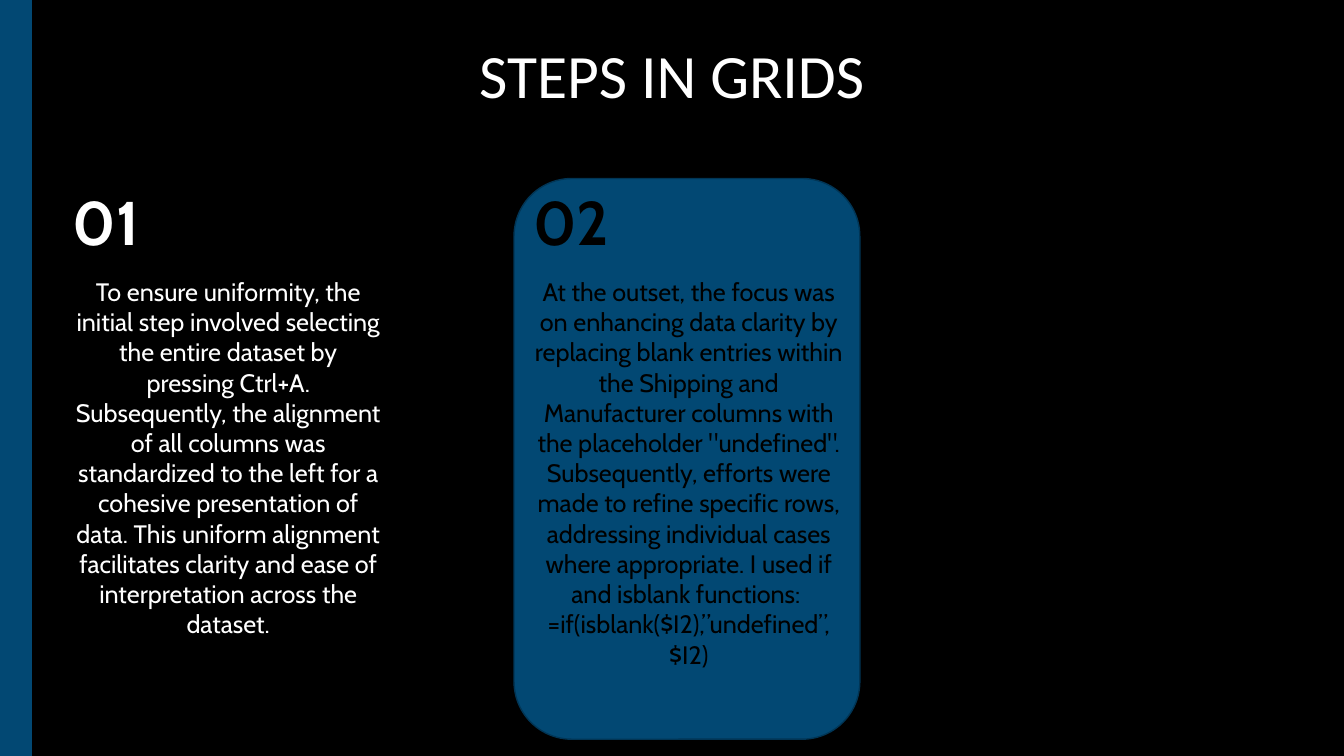
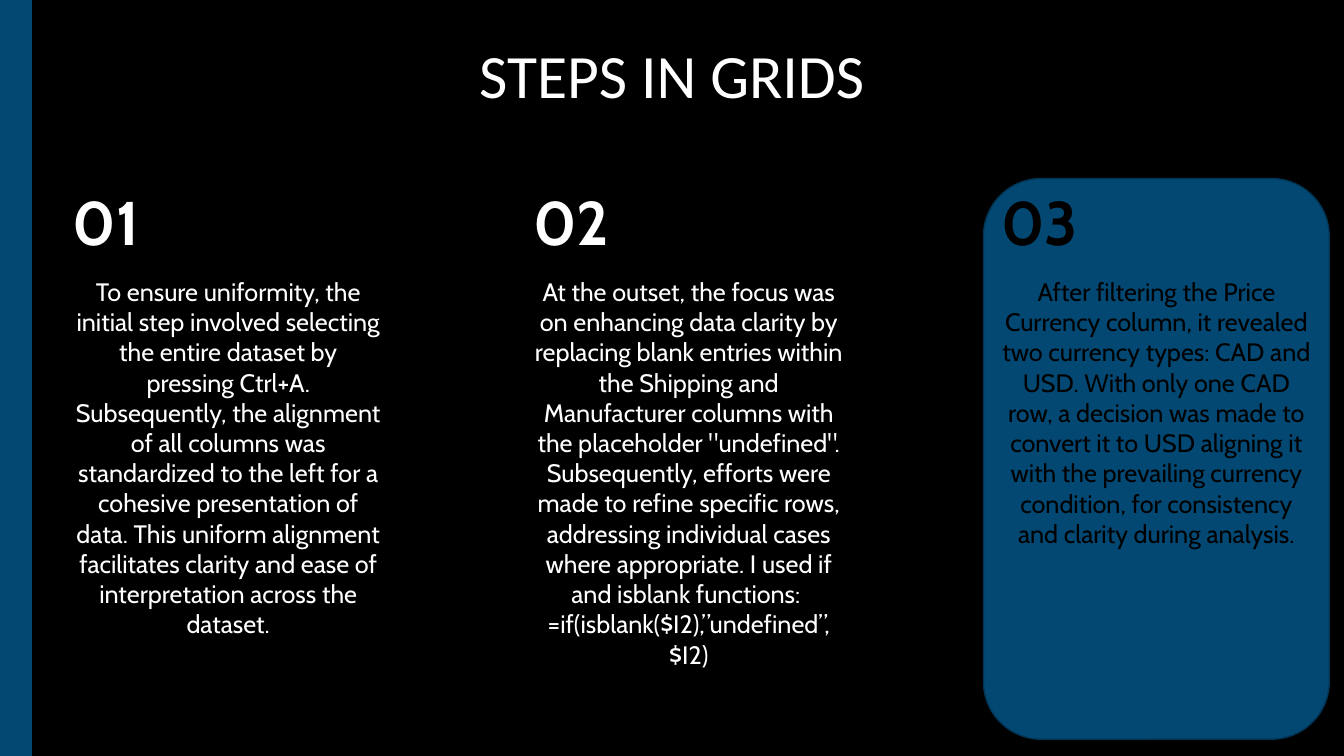
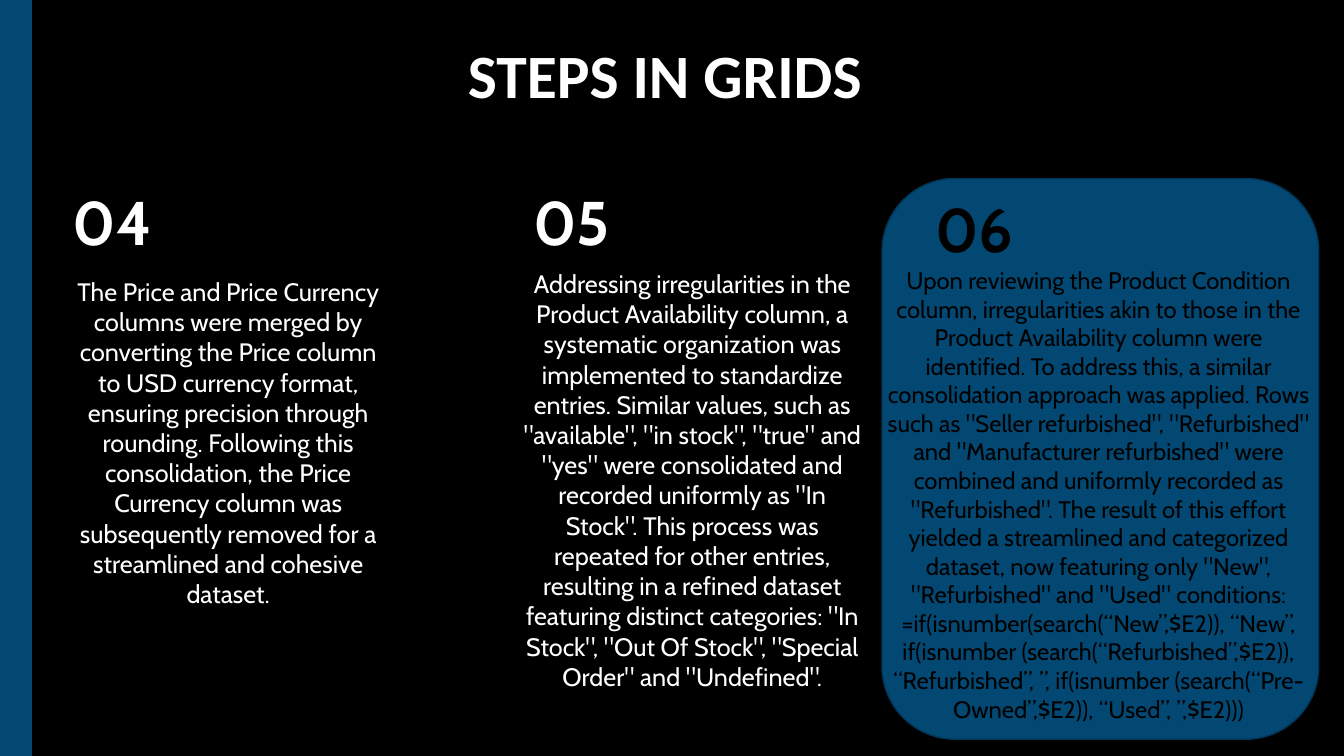
from dataclasses import dataclass

from lxml.etree import _Element
from pptx import Presentation
from pptx.dml.color import RGBColor
from pptx.enum.shapes import MSO_SHAPE
from pptx.enum.text import MSO_ANCHOR, MSO_AUTO_SIZE, PP_ALIGN
from pptx.slide import Slide
from pptx.text.text import TextFrame
from pptx.util import Pt


@dataclass(frozen=True)
class Theme:
    background: RGBColor = RGBColor(0x00, 0x00, 0x00)
    accent: RGBColor = RGBColor(0x02, 0x48, 0x73)
    accent_edge: RGBColor = RGBColor(0x01, 0x35, 0x55)
    light: RGBColor = RGBColor(0xFF, 0xFF, 0xFF)
    dark: RGBColor = RGBColor(0x00, 0x00, 0x00)
    title_font: str = "Calibri"
    body_font: str = "Cabin"
    heading_size: float = 44
    body_size: float = 18
    dense_size: float = 17


@dataclass(frozen=True)
class Area:
    left: float
    top: float
    width: float
    height: float


@dataclass(frozen=True)
class Step:
    number: str
    paragraphs: tuple[str, ...]
    number_area: Area
    body_area: Area
    size: float


@dataclass(frozen=True)
class Page:
    title: str
    steps: tuple[Step, ...]
    panel: Area
    bold_title: bool = False


THEME = Theme()

# Shared geometry, in points
PAGE_WIDTH, PAGE_HEIGHT = 960, 540
BAND = Area(0, 0, 22.5, PAGE_HEIGHT)
TITLE = Area(0, 16.5, PAGE_WIDTH, 67)
COLUMNS = (45, 374, 708)
NUMBER_TOP, BODY_TOP = 127.5, 193.7
PANEL_HEIGHT = 400.5


def number_at(left: float, top: float = NUMBER_TOP) -> Area:
    return Area(left, top, 117, 60.5)


def panel_at(left: float, width: float = 247) -> Area:
    return Area(left, NUMBER_TOP, width, PANEL_HEIGHT)


def column_step(number: str, column: int, height: float, *paragraphs: str) -> Step:
    """A step that sits on the regular column grid."""
    left = COLUMNS[column]
    body = Area(left, BODY_TOP, 236, height)
    return Step(number, paragraphs, number_at(left), body, THEME.body_size)


# Content
ALIGNMENT = column_step(
    "01", 0, 291,
    "To ensure uniformity, the initial step involved selecting the entire dataset by "
    "pressing Ctrl+A. Subsequently, the alignment of all columns was standardized to the "
    "left for a cohesive presentation of data. This uniform alignment facilitates clarity "
    "and ease of interpretation across the dataset.",
)
BLANKS = column_step(
    "02", 1, 291,
    "At the outset, the focus was on enhancing data clarity by replacing blank entries "
    "within the Shipping and Manufacturer columns with the placeholder \"undefined\". "
    "Subsequently, efforts were made to refine specific rows, addressing individual cases "
    "where appropriate. I used if and isblank functions: ",
    "=if(isblank($I2),”undefined”, $I2)",
)
CURRENCY = column_step(
    "03", 2, 204,
    "After filtering the Price Currency column, it revealed two currency types: CAD and "
    "USD. With only one CAD row, a decision was made to convert it to USD aligning it with "
    "the prevailing currency condition, for consistency and clarity during analysis.",
)
MERGE = column_step(
    "04", 0, 247,
    "The Price and Price Currency columns were merged by converting the Price column to "
    "USD currency format, ensuring precision through rounding. Following this "
    "consolidation, the Price Currency column was subsequently removed for a streamlined "
    "and cohesive dataset.",
)
AVAILABILITY = Step(
    "05",
    (
        "Addressing irregularities in the Product Availability column, a systematic "
        "organization was implemented to standardize entries. Similar values, such as "
        "\"available\", \"in stock\", \"true\" and \"yes\" were consolidated and recorded "
        "uniformly as \"In Stock\". This process was repeated for other entries, resulting "
        "in a refined dataset featuring distinct categories: \"In Stock\", \"Out Of Stock\", "
        "\"Special Order\" and \"Undefined\".",
    ),
    number_at(COLUMNS[1]), Area(366.5, 188, 256, 312.5), THEME.body_size,
)
CONDITION = Step(
    "06",
    (
        "Upon reviewing the Product Condition column, irregularities akin to those in the "
        "Product Availability column were identified. To address this, a similar "
        "consolidation approach was applied. Rows such as \"Seller refurbished\", "
        "\"Refurbished\" and \"Manufacturer refurbished\" were combined and uniformly "
        "recorded as \"Refurbished\". The result of this effort yielded a streamlined and "
        "categorized dataset, now featuring only \"New\", \"Refurbished\" and \"Used\" "
        "conditions:",
        "=if(isnumber(search(“New”,$E2)), “New”, if(isnumber (search(“Refurbished”,$E2)), "
        "“Refurbished”, ”, if(isnumber (search(“Pre-Owned”,$E2)), “Used”, ”,$E2)))",
    ),
    number_at(661, 133), Area(623.5, 186.2, 322.5, 337), THEME.dense_size,
)

# The last step of each page is the highlighted one
PAGES = (
    Page("STEPS IN GRIDS", (ALIGNMENT, BLANKS), panel_at(367.2)),
    Page("STEPS IN GRIDS", (ALIGNMENT, BLANKS, CURRENCY), panel_at(702.5)),
    Page("STEPS IN GRIDS ", (MERGE, AVAILABILITY, CONDITION), panel_at(630, 312), True),
)


def bounds(area: Area) -> tuple[Pt, Pt, Pt, Pt]:
    return Pt(area.left), Pt(area.top), Pt(area.width), Pt(area.height)


def write(frame: TextFrame, paragraphs: tuple[str, ...], font: str, size: float,
          color: RGBColor, align: PP_ALIGN, bold: bool = False) -> None:
    for index, text in enumerate(paragraphs):
        para = frame.paragraphs[0] if index == 0 else frame.add_paragraph()
        para.alignment = align
        span = para.add_run()
        span.text = text
        span.font.name = font
        span.font.size = Pt(size)
        span.font.bold = bold
        span.font.color.rgb = color


def add_block(page: Slide, kind: MSO_SHAPE, area: Area, edge: RGBColor) -> None:
    block = page.shapes.add_shape(kind, *bounds(area))
    block.shadow.inherit = False
    block.fill.solid()
    block.fill.fore_color.rgb = THEME.accent
    block.line.color.rgb = edge
    block.line.width = Pt(1)


def add_text(page: Slide, area: Area, paragraphs: tuple[str, ...], size: float,
             color: RGBColor, align: PP_ALIGN, bold: bool = False) -> None:
    frame = page.shapes.add_textbox(*bounds(area)).text_frame
    frame.word_wrap = True
    frame.auto_size = MSO_AUTO_SIZE.SHAPE_TO_FIT_TEXT
    write(frame, paragraphs, THEME.body_font, size, color, align, bold)


def set_title(page: Slide, text: str, bold: bool) -> None:
    title = page.shapes.title
    title.left, title.top, title.width, title.height = bounds(TITLE)
    frame = title.text_frame
    frame.auto_size = MSO_AUTO_SIZE.NONE
    frame.vertical_anchor = MSO_ANCHOR.BOTTOM
    write(frame, (text,), THEME.title_font, THEME.heading_size, THEME.light,
          PP_ALIGN.CENTER, bold)
    frame.paragraphs[0].line_spacing = 0.9


def add_step(page: Slide, step: Step, color: RGBColor) -> None:
    add_text(page, step.number_area, (step.number,), THEME.heading_size, color,
             PP_ALIGN.LEFT, bold=True)
    add_text(page, step.body_area, step.paragraphs, step.size, color, PP_ALIGN.CENTER)


def main() -> None:
    deck = Presentation()
    deck.slide_width, deck.slide_height = Pt(PAGE_WIDTH), Pt(PAGE_HEIGHT)
    backdrop = deck.slide_master.background.fill
    backdrop.solid()
    backdrop.fore_color.rgb = THEME.background

    for content in PAGES:
        page = deck.slides.add_slide(deck.slide_layouts[5])
        set_title(page, content.title, content.bold_title)
        add_block(page, MSO_SHAPE.RECTANGLE, BAND, THEME.accent)
        add_block(page, MSO_SHAPE.ROUNDED_RECTANGLE, content.panel, THEME.accent_edge)
        for step in content.steps:
            highlighted = step is content.steps[-1]
            add_step(page, step, THEME.dark if highlighted else THEME.light)

    deck.save("out.pptx")


if __name__ == "__main__":
    main()
